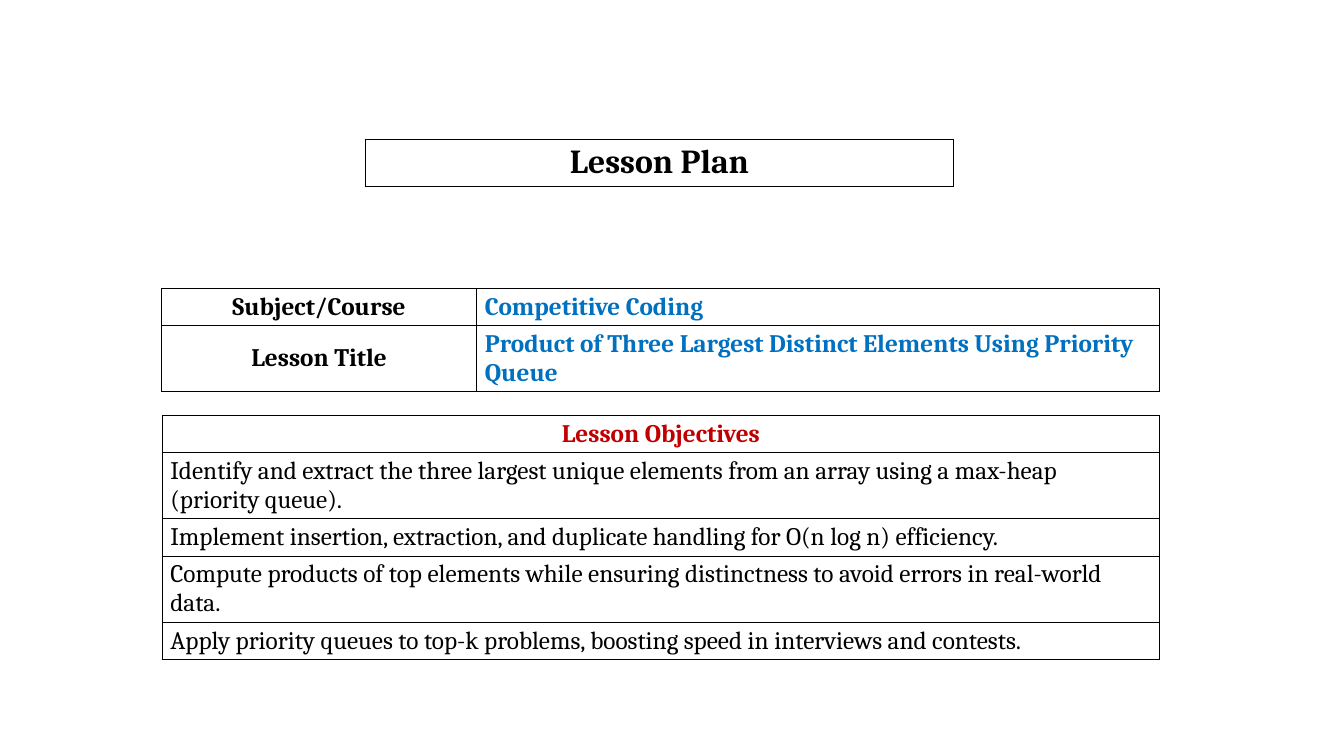
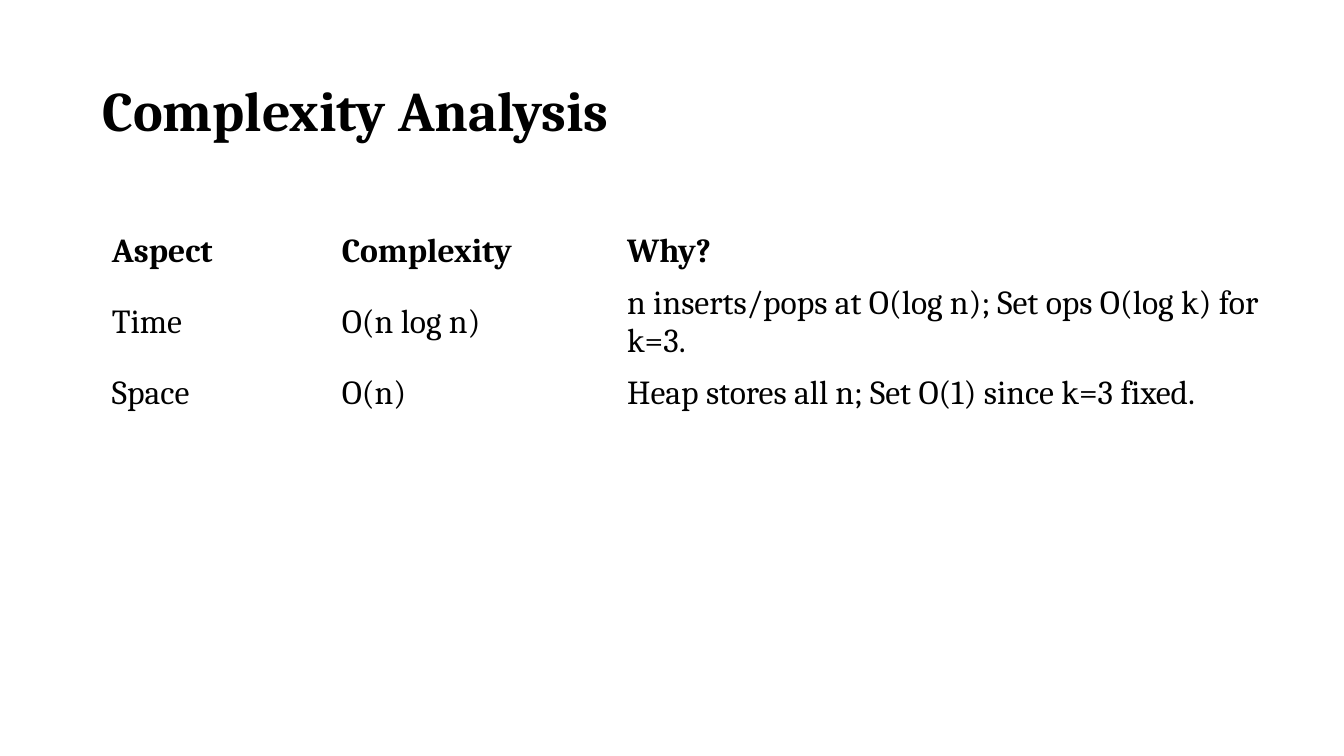
import pptx
import pptx.dml.color
import pptx.enum.text
import pptx.oxml.ns
import pptx.util
from lxml import etree

RGBColor = pptx.dml.color.RGBColor
BLACK = RGBColor(0x00, 0x00, 0x00)
WHITE = RGBColor(0xFF, 0xFF, 0xFF)
BLUE = RGBColor(0x00, 0x70, 0xC0)
RED = RGBColor(0xC0, 0x00, 0x00)

LEFT = pptx.enum.text.PP_ALIGN.LEFT
CENTER = pptx.enum.text.PP_ALIGN.CENTER
MIDDLE = pptx.enum.text.MSO_ANCHOR.MIDDLE

EMU_PER_PX = 9144  # 100 px to the inch
PLAIN_TABLE_STYLE = "{2D5ABB26-0587-4C30-8999-92F81FD0307C}"


def px(length):
    return pptx.util.Emu(length * EMU_PER_PX)


class LessonDeck:
    FONT = "Cambria"
    BORDER_WIDTH = pptx.util.Pt(0.77)

    def __init__(self, width, height):
        self.deck = pptx.Presentation()
        self.deck.slide_width = px(width)
        self.deck.slide_height = px(height)
        self.page = None

    def add_page(self):
        self.page = self.deck.slides.add_slide(self.deck.slide_layouts[6])

    def set_text(self, frame, text, size, color=BLACK, bold=False, align=LEFT):
        para = frame.paragraphs[0]
        para.text = text
        para.alignment = align
        font = para.font
        font.name = self.FONT
        font.size = pptx.util.Pt(size)
        font.bold = bold
        font.color.rgb = color
        return para

    def title(self, text):
        box = self.page.shapes.add_textbox(px(92), px(40), px(1150), px(145))
        frame = box.text_frame
        frame.word_wrap = True
        frame.vertical_anchor = MIDDLE
        self.set_text(frame, text, 40, bold=True).line_spacing = 0.9

    def border(self, cell):
        properties = cell._tc.get_or_add_tcPr()
        qn = pptx.oxml.ns.qn
        for side in ("a:lnL", "a:lnR", "a:lnT", "a:lnB"):
            line = etree.SubElement(properties, qn(side), w=str(int(self.BORDER_WIDTH)))
            fill = etree.SubElement(line, qn("a:solidFill"))
            etree.SubElement(fill, qn("a:srgbClr"), val=str(BLACK))

    def table(self, left, top, widths, heights, rows, size, style, boxed=True):
        """Draw rows of text; style(row, column) gives the text options of a cell."""
        frame = self.page.shapes.add_table(
            len(heights), len(widths), px(left), px(top), px(sum(widths)), px(sum(heights)))
        table = frame.table
        table.first_row = table.horz_banding = False
        table._tbl.tblPr.find(pptx.oxml.ns.qn("a:tableStyleId")).text = PLAIN_TABLE_STYLE
        for column, width in zip(table.columns, widths):
            column.width = px(width)
        for row, height in zip(table.rows, heights):
            row.height = px(height)

        side_margin, end_margin = (8, 4) if boxed else (10, 5)
        for r, texts in enumerate(rows):
            for c, text in enumerate(texts):
                cell = table.cell(r, c)
                cell.vertical_anchor = MIDDLE
                cell.margin_left = cell.margin_right = px(side_margin)
                cell.margin_top = cell.margin_bottom = px(end_margin)
                if boxed:
                    self.border(cell)
                    cell.fill.solid()
                    cell.fill.fore_color.rgb = WHITE
                else:
                    cell.fill.background()
                self.set_text(cell.text_frame, text, size, **style(r, c))

    def save(self):
        self.deck.save("out.pptx")


def heading_style(row, column):
    return {"bold": True, "align": CENTER}


def course_style(row, column):
    return {"bold": True, "color": BLUE} if column else heading_style(row, column)


def objective_style(row, column):
    return {} if row else {"bold": True, "align": CENTER, "color": RED}


def analysis_style(row, column):
    return {"bold": row == 0}


def lesson_plan(deck):
    deck.add_page()
    one_line, two_lines = 37, 65
    deck.table(362, 138, [584], [47], [["Lesson Plan"]], 24, heading_style)
    deck.table(160, 286, [313, 677], [one_line, two_lines], [
        ["Subject/Course", "Competitive Coding"],
        ["Lesson Title", "Product of Three Largest Distinct Elements Using Priority Queue"],
    ], 18, course_style)
    deck.table(161, 412, [989], [one_line, two_lines, one_line, two_lines, one_line], [
        ["Lesson Objectives"],
        ["Identify and extract the three largest unique elements from an array "
         "using a max-heap (priority queue)."],
        ["Implement insertion, extraction, and duplicate handling for O(n log n) efficiency."],
        ["Compute products of top elements while ensuring distinctness to avoid errors "
         "in real-world data."],
        ["Apply priority queues to top-k problems, boosting speed in interviews and contests."],
    ], 18, objective_style)


def complexity_analysis(deck):
    deck.add_page()
    deck.title("Complexity Analysis")
    deck.table(101, 225, [228, 283, 649], [48, 87, 48], [
        ["Aspect", "Complexity", "Why?"],
        ["Time", "O(n log n)", "n inserts/pops at O(log n); Set ops O(log k) for k=3."],
        ["Space", "O(n)", "Heap stores all n; Set O(1) since k=3 fixed."],
    ], 24, analysis_style, boxed=False)


def main():
    deck = LessonDeck(1333, 750)
    lesson_plan(deck)
    complexity_analysis(deck)
    deck.save()


if __name__ == "__main__":
    main()
